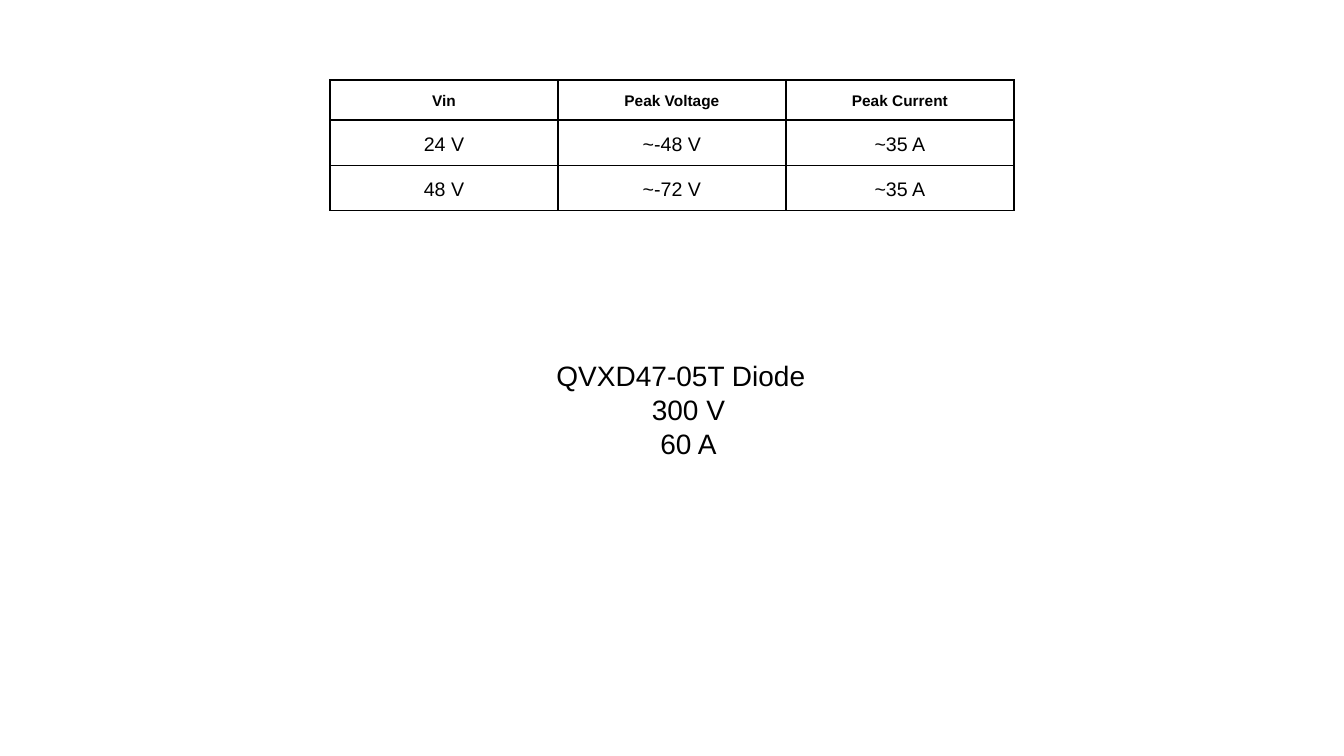
from dataclasses import dataclass

from pptx import Presentation
from pptx import util as u
from pptx.dml.color import RGBColor
from pptx.enum import text
from pptx.oxml import parse_xml
from pptx.oxml.ns import nsdecls

SCALE = 914400 / 100.8


@dataclass(frozen=True)
class Theme:
    font: str = "Arial"
    ink: str = "000000"
    paper: str = "FFFFFF"
    head: int = 11
    cell: int = 14
    note: int = 20
    rule: int = 1


@dataclass(frozen=True)
class Row:
    words: tuple[str, ...]
    tall: int
    size: int
    bold: bool = False


@dataclass(frozen=True)
class Line:
    words: str
    inset: int = 0


THEME = Theme()
ROWS = (
    Row(("Vin", "Peak Voltage", "Peak Current"), 40, THEME.head, True),
    Row(("24 V", "~-48 V", "~35 A"), 45, THEME.cell),
    Row(("48 V", "~-72 V", "~35 A"), 45, THEME.cell),
)
LINES = (Line("QVXD47-05T Diode"), Line("300 V", 15), Line("60 A", 15))


def px(count: int) -> u.Emu:
    return u.Emu(round(count * SCALE))


def put(item, values: dict) -> None:
    """Set each named attribute of item."""
    for name, value in values.items():
        setattr(item, name, value)


def write(para, words: str, size: int, bold: bool = False) -> None:
    para.alignment = text.PP_ALIGN.CENTER
    run = para.add_run()
    run.text = words
    put(run.font, {"name": THEME.font, "size": u.Pt(size), "bold": bold})
    run.font.color.rgb = RGBColor.from_string(THEME.ink)


def frame(cell) -> None:
    """Rule all four sides of a cell; borders go before its fill."""
    props = cell._tc.get_or_add_tcPr()
    for spot, side in enumerate("LRTB"):
        props.insert(spot, parse_xml(
            f'<a:ln{side} {nsdecls("a")} w="{u.Pt(THEME.rule)}">'
            f'<a:solidFill><a:srgbClr val="{THEME.ink}"/></a:solidFill>'
            f'</a:ln{side}>'))


def add_peaks(slide, left: int, top: int, wide: int) -> None:
    count = len(ROWS[0].words)
    table = slide.shapes.add_table(
        len(ROWS), count, px(left), px(top), px(wide * count),
        px(sum(row.tall for row in ROWS))).table
    put(table, {"first_row": False, "horz_banding": False})
    for column in table.columns:
        column.width = px(wide)
    for line, row in zip(table.rows, ROWS):
        line.height = px(row.tall)
        for cell, words in zip(line.cells, row.words):
            put(cell, {"margin_left": px(7), "margin_right": px(7),
                       "margin_top": px(10), "margin_bottom": px(10)})
            cell.fill.solid()
            cell.fill.fore_color.rgb = RGBColor.from_string(THEME.paper)
            frame(cell)
            para = cell.text_frame.paragraphs[0]
            para.line_spacing = 1.15
            write(para, words, row.size, row.bold)


def add_diode(slide, left: int, top: int, wide: int, tall: int) -> None:
    box = slide.shapes.add_textbox(px(left), px(top), px(wide), px(tall))
    body = box.text_frame
    put(body, {"word_wrap": True, "margin_left": px(10),
               "margin_right": px(10), "margin_top": px(10),
               "margin_bottom": px(10)})
    for spot, line in enumerate(LINES):
        para = body.add_paragraph() if spot else body.paragraphs[0]
        write(para, line.words, THEME.note)
        if line.inset:
            para._p.get_or_add_pPr().set("marL", str(px(line.inset)))


def main() -> None:
    deck = Presentation()
    put(deck, {"slide_width": px(1344), "slide_height": px(756)})
    slide = deck.slides.add_slide(deck.slide_layouts.get_by_name("Blank"))
    add_peaks(slide, left=330, top=80, wide=228)
    add_diode(slide, left=132, top=349, wide=1098, tall=122)
    deck.save("out.pptx")


if __name__ == "__main__":
    main()
